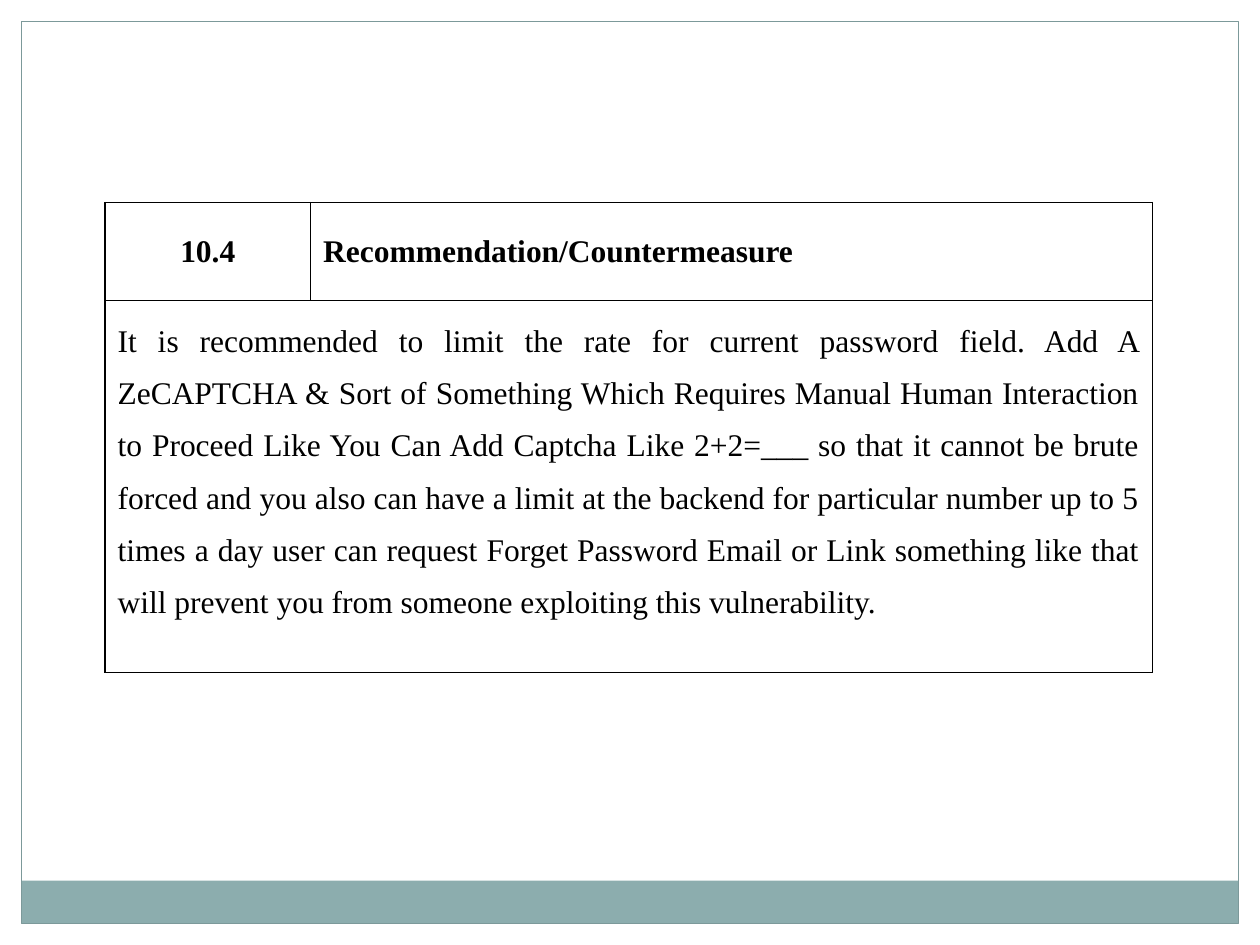
from lxml.etree import SubElement
from pptx import Presentation
from pptx.dml.color import RGBColor
from pptx.enum.shapes import MSO_SHAPE
from pptx.enum.text import MSO_ANCHOR, PP_ALIGN
from pptx.oxml.ns import qn
from pptx.util import Pt

FONT, SIZE, BLACK, WHITE = "Times New Roman", 18, "000000", "FFFFFF"
SLIDE_W, SLIDE_H, MARGIN, BAND_H = 720, 540, 12.25, 24.5
TABLE_LEFT, TABLE_TOP = 60, 115.75
COL_WIDTHS = (117.5, 481)
ROW_HEIGHTS = (56, 212.5)

BODY = (
    "It is recommended to limit the rate for current password field. "
    "Add A ZeCAPTCHA & Sort of Something Which Requires Manual Human "
    "Interaction to Proceed Like You Can Add Captcha Like 2+2=___ so that "
    "it cannot be brute forced and you also can have a limit at the backend "
    "for particular number up to 5 times a day user can request Forget "
    "Password Email or Link something like that will prevent you from "
    "someone exploiting this vulnerability."
)
# row, column, text, bold, alignment, anchor, line spacing
CELLS = [
    (0, 0, "10.4", True, PP_ALIGN.CENTER, MSO_ANCHOR.MIDDLE, 1.0),
    (0, 1, "Recommendation/Countermeasure", True, PP_ALIGN.LEFT, MSO_ANCHOR.MIDDLE, 1.0),
    (1, 0, BODY, False, PP_ALIGN.JUSTIFY, MSO_ANCHOR.TOP, 1.5),
]


def color(value):
    return RGBColor.from_string(value)


def add_rect(s, left, top, width, height, fill=None, line=None):
    sp = s.shapes.add_shape(MSO_SHAPE.RECTANGLE, Pt(left), Pt(top), Pt(width), Pt(height))
    sp.shadow.inherit = False
    if fill:
        sp.fill.solid()
        sp.fill.fore_color.rgb = color(fill)
    else:
        sp.fill.background()
    if line:
        sp.line.color.rgb = color(line)
        sp.line.width = Pt(0.75)
    else:
        sp.line.fill.background()


def set_borders(cell):
    """Draw a 1 pt black line on each side; call before setting the fill."""
    tc_pr = cell._tc.get_or_add_tcPr()
    for side in ("lnL", "lnR", "lnT", "lnB"):
        ln = SubElement(tc_pr, qn(f"a:{side}"), w=str(Pt(1)))
        fill = SubElement(ln, qn("a:solidFill"))
        SubElement(fill, qn("a:srgbClr"), val=BLACK)


def add_frame(s):
    inner_w, inner_h = SLIDE_W - 2 * MARGIN, SLIDE_H - 2 * MARGIN
    add_rect(s, 0, 0, SLIDE_W, MARGIN, fill=WHITE)
    for left in (SLIDE_W - MARGIN, 0):
        add_rect(s, left, 0, MARGIN, SLIDE_H, fill=WHITE)
    add_rect(s, MARGIN, SLIDE_H - MARGIN - BAND_H, inner_w, BAND_H, fill="8CADAE")
    add_rect(s, MARGIN, MARGIN, inner_w, inner_h, line="7C999A")


def add_recommendation(s):
    table = s.shapes.add_table(
        len(ROW_HEIGHTS), len(COL_WIDTHS), Pt(TABLE_LEFT), Pt(TABLE_TOP),
        Pt(sum(COL_WIDTHS)), Pt(sum(ROW_HEIGHTS))).table
    table.first_row = table.horz_banding = False
    for column, width in zip(table.columns, COL_WIDTHS):
        column.width = Pt(width)
    for row, height in zip(table.rows, ROW_HEIGHTS):
        row.height = Pt(height)
    table.cell(1, 0).merge(table.cell(1, 1))
    for cell in table.iter_cells():
        set_borders(cell)
        cell.fill.solid()
        cell.fill.fore_color.rgb = color(WHITE)
    for row, col, text, bold, align, anchor, spacing in CELLS:
        cell = table.cell(row, col)
        cell.vertical_anchor = anchor
        p = cell.text_frame.paragraphs[0]
        p.alignment = align
        p.line_spacing = spacing
        r = p.add_run()
        r.text = text
        r.font.name = FONT
        r.font.size = Pt(SIZE)
        r.font.bold = bold
        r.font.color.rgb = color(BLACK)


def main():
    prs = Presentation()
    prs.slide_width, prs.slide_height = Pt(SLIDE_W), Pt(SLIDE_H)
    s = prs.slides.add_slide(prs.slide_layouts[6])
    s.background.fill.solid()
    s.background.fill.fore_color.rgb = color(WHITE)
    add_frame(s)
    add_recommendation(s)
    prs.save("out.pptx")


if __name__ == "__main__":
    main()
